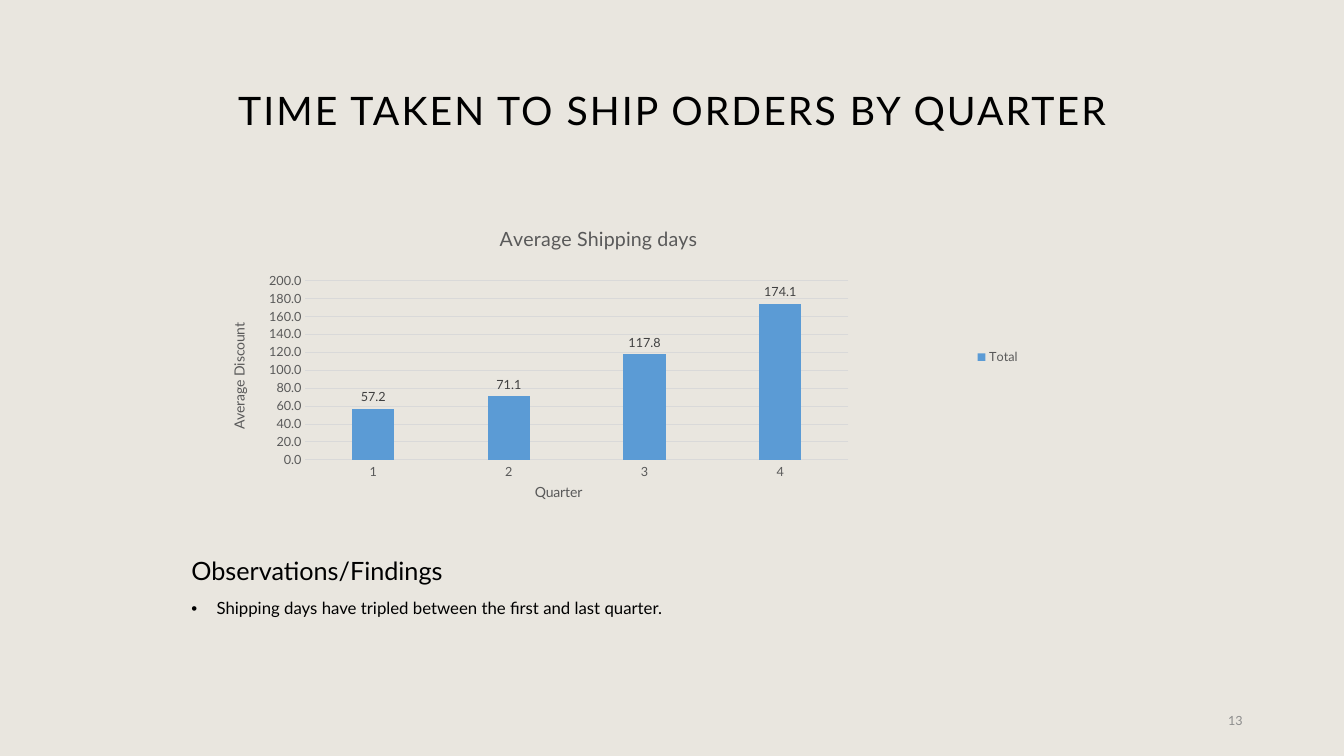
import pptx
import pptx.chart.data
import pptx.dml.color
import pptx.enum.chart
import pptx.enum.text
import pptx.oxml
import pptx.oxml.ns
import pptx.util

WIDTH, HEIGHT = 13.33, 7.5
FONT = "Lato"
COLORS = {
    "paper": "E9E6DF",
    "ink": "000000",
    "page": "8C8C8C",
    "caption": "595959",
    "value": "404040",
    "grid": "D9D9D9",
    "bar": "5B9BD5",
}
AVERAGE_DAYS = {"1": 57.2, "2": 71.1, "3": 117.8, "4": 174.1}
PLOT_SHARES = {"x": 0.16, "y": 0.24, "w": 0.629, "h": 0.608}

ALIGN = pptx.enum.text.PP_ALIGN
ANCHOR = pptx.enum.text.MSO_ANCHOR


def rgb(name):
    return pptx.dml.color.RGBColor.from_string(COLORS[name])


def area(left, top, width, height):
    shares = ((left, WIDTH), (top, HEIGHT), (width, WIDTH), (height, HEIGHT))
    return [pptx.util.Inches(share * side) for share, side in shares]


def style_font(font, size, color):
    font.name = FONT
    font.size = pptx.util.Pt(size)
    font.bold = False
    font.color.rgb = rgb(color)


def add_text_area(slide, place, anchor):
    frame = slide.shapes.add_textbox(*area(*place)).text_frame
    frame.word_wrap = True
    frame.vertical_anchor = anchor
    return frame


def write_line(paragraph, wording, size, color, align=ALIGN.LEFT, spacing=0.9):
    paragraph.alignment = align
    paragraph.line_spacing = spacing
    run = paragraph.add_run()
    run.text = wording
    style_font(run.font, size, color)
    return run


def make_bullet(paragraph):
    properties = paragraph._p.get_or_add_pPr()
    indent = pptx.util.Inches(0.25)
    properties.set("marL", str(indent))
    properties.set("indent", str(-indent))
    properties.append(pptx.oxml.parse_xml(
        f'<a:buFont {pptx.oxml.ns.nsdecls("a")} typeface="Arial"/>'))
    properties.append(pptx.oxml.parse_xml(
        f'<a:buChar {pptx.oxml.ns.nsdecls("a")} char="•"/>'))


def add_heading(slide, wording):
    frame = add_text_area(slide, (0.069, 0.053, 0.863, 0.193), ANCHOR.MIDDLE)
    heading = write_line(frame.paragraphs[0], wording, 28, "ink", ALIGN.CENTER)
    heading.font._element.set("spc", "150")


def add_page_number(slide, number):
    frame = add_text_area(slide, (0.707, 0.927, 0.225, 0.053), ANCHOR.MIDDLE)
    write_line(frame.paragraphs[0], number, 9, "page", ALIGN.RIGHT, 1.0)


def add_findings(slide, heading, findings):
    frame = add_text_area(slide, (0.135, 0.733, 0.446, 0.193), ANCHOR.TOP)
    write_line(frame.paragraphs[0], heading, 18, "ink")
    for finding in findings:
        paragraph = frame.add_paragraph()
        paragraph.space_before = pptx.util.Pt(10)
        make_bullet(paragraph)
        write_line(paragraph, finding, 12, "ink")


def write_chart_title(owner, wording, size):
    paragraph = owner.text_frame.paragraphs[0]
    run = paragraph.add_run()
    run.text = wording
    style_font(run.font, size, "caption")


def style_grid_line(line):
    line.color.rgb = rgb("grid")
    line.width = pptx.util.Pt(0.75)


def style_axis(axis, title):
    axis.major_tick_mark = pptx.enum.chart.XL_TICK_MARK.NONE
    axis.minor_tick_mark = pptx.enum.chart.XL_TICK_MARK.NONE
    style_font(axis.tick_labels.font, 9, "caption")
    write_chart_title(axis.axis_title, title, 10)


def place_plot(chart):
    plot_area = chart._chartSpace.chart.plotArea
    for layout in plot_area.findall(pptx.oxml.ns.qn("c:layout")):
        plot_area.remove(layout)
    sizes = "".join(f'<c:{key} val="{share}"/>' for key, share in PLOT_SHARES.items())
    plot_area.insert(0, pptx.oxml.parse_xml(
        f'<c:layout {pptx.oxml.ns.nsdecls("c")}><c:manualLayout>'
        '<c:layoutTarget val="inner"/><c:xMode val="edge"/><c:yMode val="edge"/>'
        f'{sizes}</c:manualLayout></c:layout>'))


def style_bars(plot):
    plot.gap_width = 219
    plot.overlap = -27
    plot.vary_by_categories = False
    bars = plot.series[0]
    bars.format.fill.solid()
    bars.format.fill.fore_color.rgb = rgb("bar")
    labels = bars.data_labels
    labels.show_value = True
    labels.number_format = "0.0"
    labels.number_format_is_linked = False
    labels.position = pptx.enum.chart.XL_LABEL_POSITION.OUTSIDE_END
    style_font(labels.font, 9, "value")


def add_shipping_chart(slide):
    shipping = pptx.chart.data.CategoryChartData(number_format="0.0")
    shipping.categories = list(AVERAGE_DAYS)
    shipping.add_series("Total", list(AVERAGE_DAYS.values()))
    chart = slide.shapes.add_chart(
        pptx.enum.chart.XL_CHART_TYPE.COLUMN_CLUSTERED,
        *area(0.1245, 0.277, 0.642, 0.391), shipping).chart
    style_font(chart.font, 10, "ink")
    write_chart_title(chart.chart_title, "Average Shipping days", 14)

    style_axis(chart.category_axis, "Quarter")
    style_grid_line(chart.category_axis.format.line)
    days = chart.value_axis
    style_axis(days, "Average Discount")
    days.format.line.fill.background()
    style_grid_line(days.major_gridlines.format.line)
    days.minimum_scale, days.maximum_scale, days.major_unit = 0, 200, 20
    days.tick_labels.number_format = "0.0"
    days.tick_labels.number_format_is_linked = False

    chart.has_legend = True
    chart.legend.position = pptx.enum.chart.XL_LEGEND_POSITION.RIGHT
    chart.legend.include_in_layout = False
    style_font(chart.legend.font, 9, "caption")
    style_bars(chart.plots[0])
    place_plot(chart)


def main():
    deck = pptx.Presentation()
    deck.slide_width = pptx.util.Inches(WIDTH)
    deck.slide_height = pptx.util.Inches(HEIGHT)
    slide = deck.slides.add_slide(deck.slide_layouts[6])
    slide.background.fill.solid()
    slide.background.fill.fore_color.rgb = rgb("paper")

    add_heading(slide, "TIME TAKEN TO SHIP ORDERS BY QUARTER")
    add_page_number(slide, "13")
    add_findings(slide, "Observations/Findings", [
        "Shipping days have tripled between the first and last quarter."])
    add_shipping_chart(slide)
    deck.save("out.pptx")


if __name__ == "__main__":
    main()
